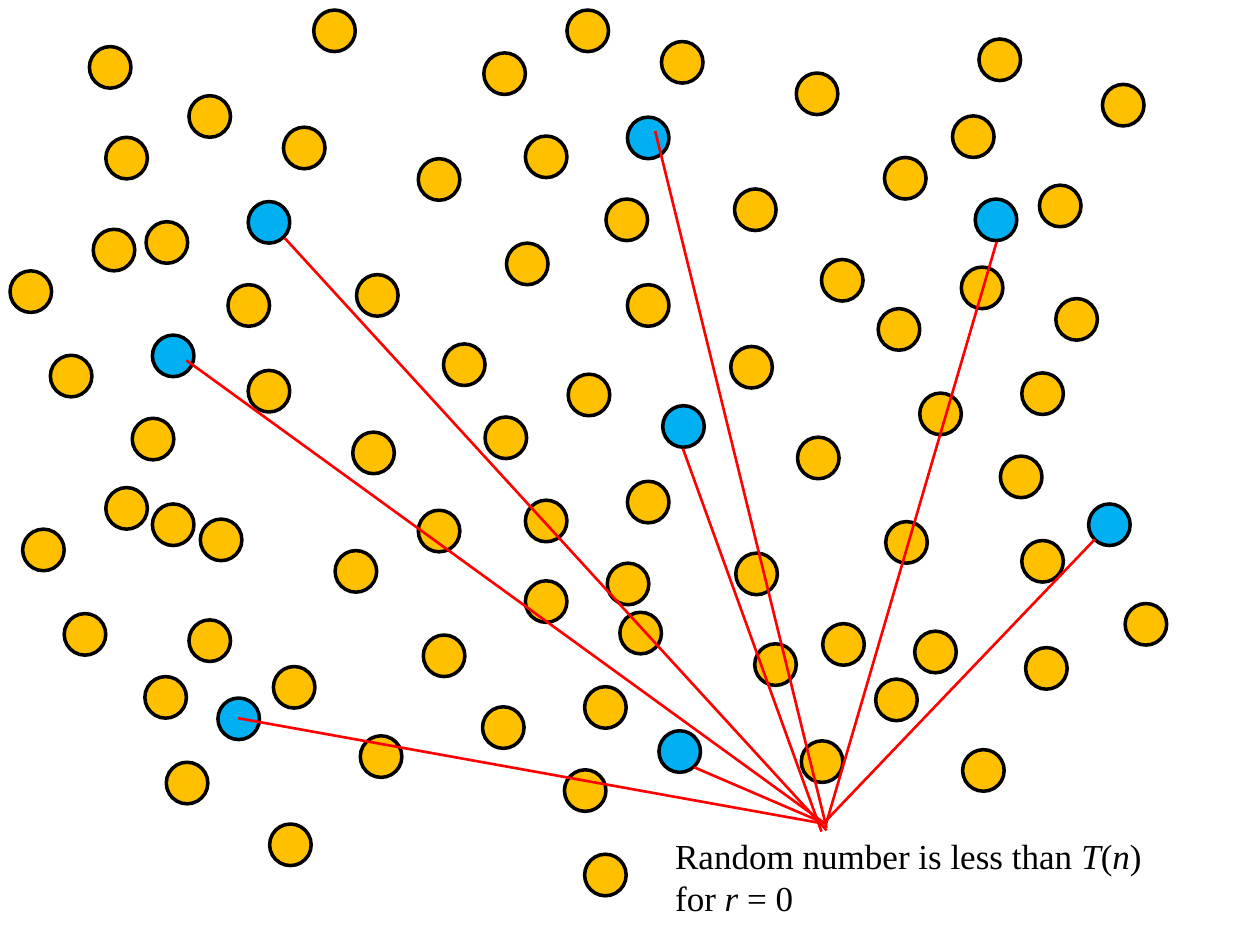
from dataclasses import dataclass

from lxml import etree
from pptx import Presentation
from pptx.dml.color import RGBColor
from pptx.enum.shapes import MSO_CONNECTOR, MSO_SHAPE
from pptx.enum.text import MSO_AUTO_SIZE
from pptx.oxml.ns import qn
from pptx.util import Pt

LINE = MSO_CONNECTOR.STRAIGHT
OVAL = MSO_SHAPE.OVAL
FIT = MSO_AUTO_SIZE.SHAPE_TO_FIT_TEXT
SCALE = 9144
WIDTH, HEIGHT = 1000, 750
SIZE = 33


@dataclass(frozen=True)
class Theme:
    """Colours, type and line sizes."""
    node: RGBColor = RGBColor(0xFF, 0xC0, 0x00)
    head: RGBColor = RGBColor(0x00, 0xB0, 0xF0)
    ink: RGBColor = RGBColor(0, 0, 0)
    link: RGBColor = RGBColor(0xFF, 0, 0)
    font: str = "Times New Roman"
    text: Pt = Pt(20)
    rim: Pt = Pt(2)
    thin: Pt = Pt(1.5)


NODES = [
    (150, 76), (116, 176), (225, 101), (181, 226), (84, 109), (332, 126),
    (197, 294), (402, 193), (280, 343), (283, 218), (352, 273), (450, 8),
    (417, 108), (525, 33), (481, 158), (384, 42), (632, 58), (498, 226),
    (702, 125), (580, 275), (583, 150), (652, 206), (451, 297), (417, 397),
    (482, 447), (385, 331), (633, 347), (498, 382), (703, 414), (726, 501),
    (584, 439), (653, 495), (84, 387), (51, 487), (159, 412), (115, 537),
    (18, 420), (266, 437), (132, 605), (336, 504), (214, 654), (217, 529),
    (286, 584), (763, 212), (730, 312), (838, 237), (794, 362), (697, 245),
    (777, 31), (811, 296), (811, 429), (875, 67), (893, 479), (756, 92),
    (825, 147), (417, 461), (383, 561), (492, 486), (448, 611), (332, 405),
    (599, 511), (464, 545), (464, 678), (814, 514), (636, 588), (695, 539),
    (764, 595), (74, 182), (40, 282), (249, 8), (105, 332), (8, 215),
    (121, 400), (71, 37), (150, 492),
]
HEADS = [
    (197, 160), (498, 93), (526, 322), (523, 580), (121, 266), (774, 158),
    (173, 554), (864, 400),
]
LINKS = [
    (226, 189, 656, 659), (520, 104, 656, 657), (791, 192, 655, 656),
    (542, 356, 652, 660), (869, 428, 653, 654), (148, 286, 654, 653),
    (189, 570, 650, 653), (551, 609, 651, 652),
]
NOTE = [
    ("Random number is less than ", False), ("T", True), ("(", False),
    ("n", True), (") for ", False), ("r", True), (" = 0", False),
]


def apply(item, form):
    """Set each format value on the item."""
    for name, value in form.items():
        setattr(item, name, value)


class Board:
    """Draws elements on the current slide in one style."""

    def __init__(self, theme, slide):
        """Keep the theme and the slide."""
        self.theme = theme
        self.shapes = slide.shapes

    def stroke(self, shape, color, width):
        """Give a shape or connector its line."""
        shape.line.color.rgb = color
        shape.line.width = width

    def dot(self, left, top, color):
        """Add one round node."""
        shape = self.shapes.add_shape(OVAL, *(v * SCALE for v in (left, top, SIZE, SIZE)))
        shape.shadow.inherit = False
        shape.fill.solid()
        shape.fill.fore_color.rgb = color
        self.stroke(shape, self.theme.ink, self.theme.rim)

    def link(self, *ends):
        """Add one straight line."""
        line = self.shapes.add_connector(LINE, *(v * SCALE for v in ends))
        etree.SubElement(line._element.spPr, qn("a:effectLst"))
        self.stroke(line, self.theme.link, self.theme.thin)

    def note(self, left, top, width, height, parts):
        """Add a text box of plain and italic parts."""
        box = self.shapes.add_textbox(*(v * SCALE for v in (left, top, width, height)))
        apply(box.text_frame, {"word_wrap": True, "auto_size": FIT})
        for text, slant in parts:
            run = box.text_frame.paragraphs[0].add_run()
            run.text = text
            apply(run.font, {"name": self.theme.font, "size": self.theme.text, "italic": slant})
            run.font.color.rgb = self.theme.ink


def main():
    """Build and save the slide."""
    deck = Presentation()
    apply(deck, {"slide_width": WIDTH * SCALE, "slide_height": HEIGHT * SCALE})
    theme = Theme()
    board = Board(theme, deck.slides.add_slide(deck.slide_layouts[6]))
    for spots, color in ((NODES, theme.node), (HEADS, theme.head)):
        for spot in spots:
            board.dot(*spot, color)
    for ends in LINKS:
        board.link(*ends)
    board.note(526, 657, 396, 77, NOTE)
    deck.save("out.pptx")


if __name__ == "__main__":
    main()
